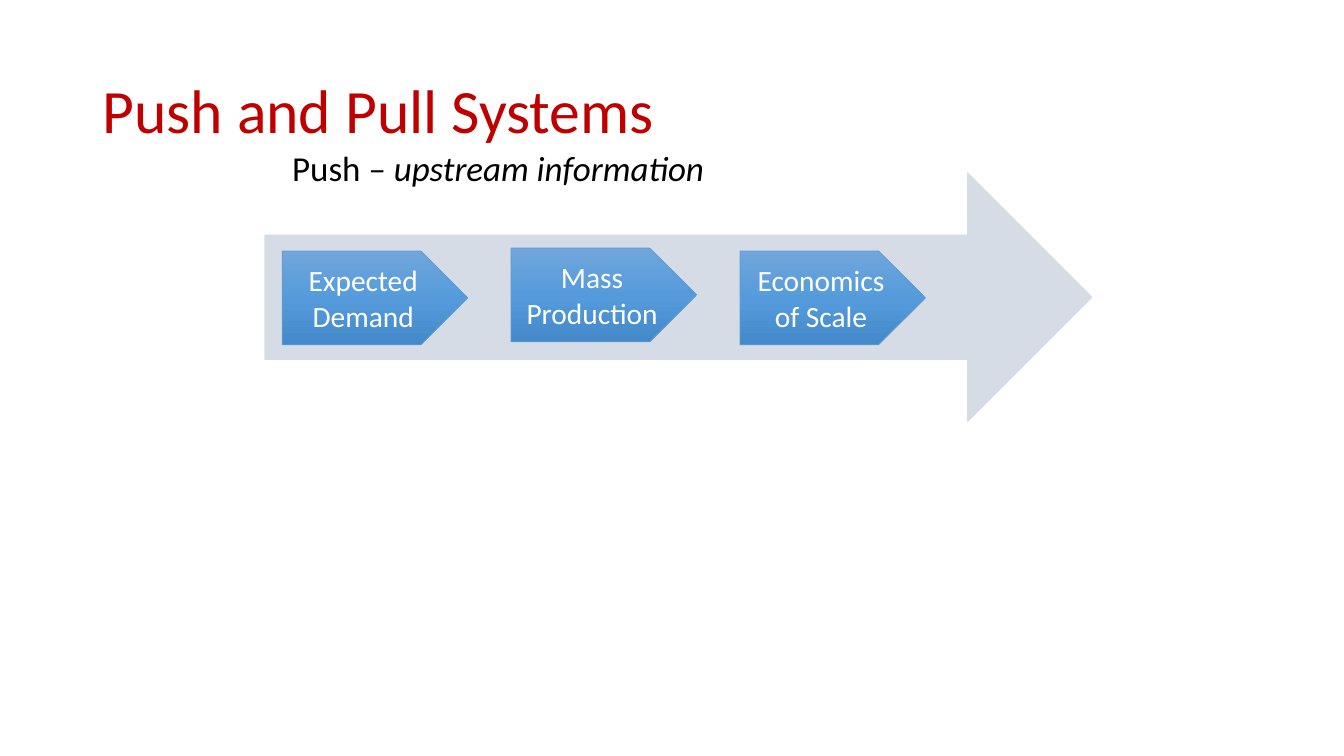
from copy import deepcopy

from pptx import Presentation
from pptx.dml.color import RGBColor
from pptx.enum.shapes import MSO_SHAPE
from pptx.enum.text import MSO_ANCHOR, PP_ALIGN
from pptx.util import Inches, Pt

GRADIENT = [(0, "71A6DB"), (0.5, "559BDB"), (1, "448ACA")]
STEPS = ["Expected Demand", "Mass Production", "Economics of Scale"]
STEP_TOPS = [33.2, 32.8, 33.2]
FIRST_STEP, STEP_PITCH = 21, 17.03

deck = Presentation()
deck.slide_width, deck.slide_height = Inches(13.33), Inches(7.5)
page = deck.slides.add_slide(deck.slide_layouts[6])


def area(left, top, width, height):
    """Turn percentages of the slide's size into lengths."""
    across, down = deck.slide_width / 100, deck.slide_height / 100
    return int(left * across), int(top * down), int(width * across), int(height * down)


def style(para, size, color):
    para.font.name = "Calibri"
    para.font.size = Pt(size)
    para.font.color.rgb = RGBColor.from_string(color)


arrow = page.shapes.add_shape(MSO_SHAPE.RIGHT_ARROW, *area(19.73, 22.93, 61.5, 32.8))
arrow.shadow.inherit = False
arrow.fill.solid()
arrow.fill.fore_color.rgb = RGBColor.from_string("D6DCE5")
arrow.line.color.rgb = RGBColor.from_string("D6DCE5")
arrow.line.width = Pt(1)

title = page.shapes.add_textbox(*area(6.9, 5.33, 86.25, 19.33)).text_frame
title.word_wrap = True
title.vertical_anchor = MSO_ANCHOR.MIDDLE
title.text = "Push and Pull Systems"
title.paragraphs[0].line_spacing = 0.9
style(title.paragraphs[0], 44, "C00000")

caption = page.shapes.add_textbox(*area(21, 19.33, 42.08, 8.4)).text_frame
caption.word_wrap = True
para = caption.paragraphs[0]
para.line_spacing = 0.9
style(para, 25, "000000")
para.add_run().text = "Push "
span = para.add_run()
span.text = "– upstream information"
span.font.italic = True

for column, (label, top) in enumerate(zip(STEPS, STEP_TOPS)):
    step = page.shapes.add_shape(
        MSO_SHAPE.PENTAGON, *area(FIRST_STEP + column * STEP_PITCH, top, 13.8, 12.4))
    step.shadow.inherit = False
    step.line.color.rgb = RGBColor.from_string("5B9BD5")
    step.line.width = Pt(0.5)

    step.fill.gradient()
    step.fill.gradient_angle = 270
    first_stop = step.fill._fill._gradFill.gsLst[0]
    first_stop.addnext(deepcopy(first_stop))
    for stop, (position, color) in zip(step.fill.gradient_stops, GRADIENT):
        stop.position = position
        stop.color.rgb = RGBColor.from_string(color)

    frame = step.text_frame
    frame.word_wrap = True
    frame.vertical_anchor = MSO_ANCHOR.MIDDLE
    frame.margin_left = frame.margin_right = Inches(0.09)
    frame.margin_top = frame.margin_bottom = Inches(0.04)
    frame.text = label
    frame.paragraphs[0].alignment = PP_ALIGN.CENTER
    style(frame.paragraphs[0], 21, "FFFFFF")

deck.save("out.pptx")
